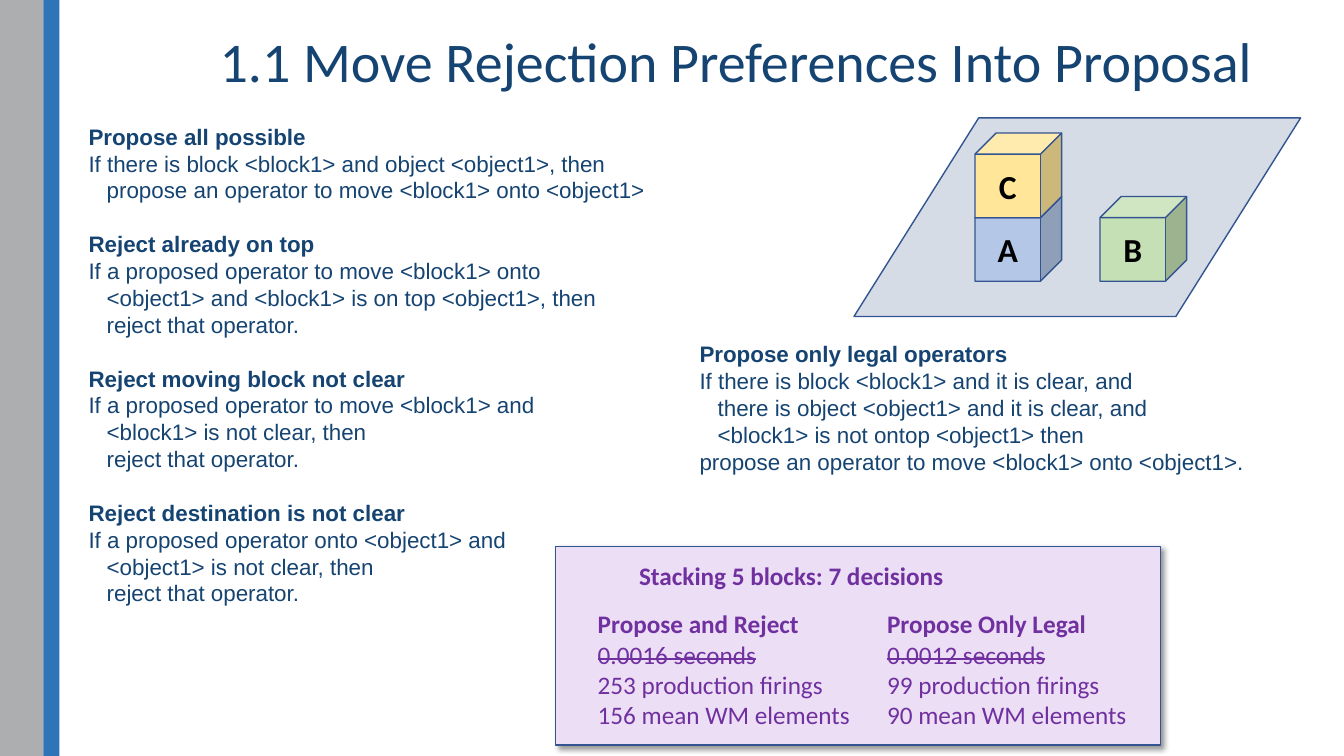
from lxml import etree
from pptx import Presentation
from pptx.dml.color import RGBColor
from pptx.enum.shapes import MSO_SHAPE as SHAPE
from pptx.enum.text import MSO_ANCHOR as ANCHOR, PP_ALIGN as ALIGN
from pptx.oxml import parse_xml
from pptx.oxml.ns import nsdecls, qn
from pptx.util import Inches, Pt

COLORS = {
    "gray": "ACAEAF", "blue": "2D74B9", "navy": "164472", "outline": "325491",
    "panel": "ECDFF5", "purple": "7030A0", "table": "D6DCE5", "black": "000000",
    "A": "B4C7E7", "B": "C5E0B4", "C": "FFE699",
}
STYLES = {
    "title": {"name": "Calibri", "size": Pt(40), "bold": False},
    "rule": {"name": "Arial", "size": Pt(16), "bold": False},
    "stat": {"name": "Calibri", "size": Pt(18), "bold": False},
    "block": {"name": "Calibri", "size": Pt(24), "bold": True},
}
RULE_LINE = Pt(19.2)
RULE_INDENT = Inches(0.18)

REJECT_RULES = [
    ("Propose all possible", [
        (0, "If there is block <block1> and object <object1>, then"),
        (1, "propose an operator to move <block1> onto <object1>")]),
    ("Reject already on top", [
        (0, "If a proposed operator to move <block1> onto"),
        (1, "<object1> and <block1> is on top <object1>, then"),
        (1, "reject that operator.")]),
    ("Reject moving block not clear", [
        (0, "If a proposed operator to move <block1> and"),
        (1, "<block1> is not clear, then"),
        (1, "reject that operator.")]),
    ("Reject destination is not clear", [
        (0, "If a proposed operator onto <object1> and"),
        (1, "<object1> is not clear, then"),
        (1, "reject that operator.")]),
]
LEGAL_RULES = [
    ("Propose only legal operators", [
        (0, "If there is block <block1> and it is clear, and"),
        (1, "there is object <object1> and it is clear, and"),
        (1, "<block1> is not ontop <object1> then"),
        (0, "propose an operator to move <block1> onto <object1>.")]),
]
STATS = [
    ("Propose and Reject", "0.0016 seconds",
     "253 production firings", "156 mean WM elements"),
    ("Propose Only Legal", "0.0012 seconds",
     "99 production firings", "90 mean WM elements"),
]
BLOCKS = [("A", 9.67, 1.95), ("B", 10.91, 1.95), ("C", 9.67, 1.32)]


class Deck:
    """Draws styled elements on the current slide."""

    def __init__(self, prs):
        self.s = prs.slides.add_slide(prs.slide_layouts[6])

    def color(self, key):
        return RGBColor.from_string(COLORS[key])

    def shape(self, kind, box, fill, line=None, parent=None):
        sp = (parent or self.s).shapes.add_shape(kind, *map(Inches, box))
        sp.shadow.inherit = False
        sp.fill.solid()
        sp.fill.fore_color.rgb = self.color(fill)
        if line:
            sp.line.color.rgb = self.color(line)
            sp.line.width = Pt(1)
        else:
            sp.line.fill.background()
        return sp

    def panel(self, box):
        sp = self.shape(SHAPE.RECTANGLE, box, "panel", "outline")
        effects = sp._element.spPr.find(qn("a:effectLst"))
        effects.append(parse_xml(
            f'<a:outerShdw {nsdecls("a")} blurRad="50800" dist="38100" dir="2700000" '
            'algn="tl" rotWithShape="0"><a:srgbClr val="000000">'
            '<a:alpha val="40000"/></a:srgbClr></a:outerShdw>'))
        return sp

    def run(self, p, text, style, color, **extra):
        r = p.add_run()
        r.text = text
        for key, value in {**STYLES[style], **extra}.items():
            setattr(r.font, key, value)
        r.font.color.rgb = self.color(color)
        return r

    def text_box(self, box, anchor=ANCHOR.TOP):
        tf = self.s.shapes.add_textbox(*map(Inches, box)).text_frame
        tf.word_wrap = True
        tf.vertical_anchor = anchor
        return tf

    def paragraph(self, tf, index):
        return tf.add_paragraph() if index else tf.paragraphs[0]

    def title(self, box, text):
        p = self.text_box(box, ANCHOR.MIDDLE).paragraphs[0]
        p.line_spacing = 0.9
        self.run(p, text, "title", "navy")

    def rules(self, box, rules):
        tf = self.text_box(box)
        for i, (heading, lines) in enumerate(rules):
            p = self.paragraph(tf, i)
            p.line_spacing = RULE_LINE
            if i:
                p.space_before = RULE_LINE
            self.run(p, heading, "rule", "navy", bold=True)
            for level, text in lines:
                p = tf.add_paragraph()
                p.line_spacing = RULE_LINE
                if level:
                    pPr = p._p.get_or_add_pPr()
                    pPr.set("marL", str(RULE_INDENT))
                    pPr.set("indent", "0")
                self.run(p, text, "rule", "navy")

    def stats(self, box, lines, struck=None):
        tf = self.text_box(box)
        for i, text in enumerate(lines):
            r = self.run(self.paragraph(tf, i), text, "stat", "purple", bold=i == 0)
            if i == struck:
                r.font._element.set("strike", "sngStrike")

    def block_world(self, table_box, blocks):
        group = self.s.shapes.add_group_shape()
        table = self.shape(SHAPE.PARALLELOGRAM, table_box, "table", "outline", group)
        table.adjustments[0] = 0.628
        for name, left, top in blocks:
            sp = self.shape(SHAPE.CUBE, (left, top, 0.86, 0.84), name, "outline", group)
            sp.text_frame.vertical_anchor = ANCHOR.MIDDLE
            p = sp.text_frame.paragraphs[0]
            p.alignment = ALIGN.CENTER
            self.run(p, name, "block", "black")


def main():
    prs = Presentation()
    prs.slide_width, prs.slide_height = Inches(13.33), Inches(7.5)
    deck = Deck(prs)
    deck.shape(SHAPE.RECTANGLE, (0, 0, 0.43, 7.5), "gray")
    deck.shape(SHAPE.RECTANGLE, (0.43, 0, 0.16, 7.5), "blue")
    deck.panel((5.51, 5.42, 6, 1.97))
    deck.title((2.08, 0.11, 10.82, 1.06), "1.1 Move Rejection Preferences Into Proposal")
    deck.rules((0.78, 1.17, 5.81, 4.96), REJECT_RULES)
    deck.block_world((8.47, 1.17, 4.43, 1.97), BLOCKS)
    deck.rules((6.84, 3.33, 5.67, 1.74), LEGAL_RULES)
    deck.stats((6.24, 5.51, 4.58, 0.4), ["Stacking 5 blocks: 7 decisions"])
    for i, lines in enumerate(STATS):
        deck.stats((5.83 + 2.87 * i, 5.99, 2.81, 1.31), lines, struck=1)
    prs.save("out.pptx")


if __name__ == "__main__":
    main()
